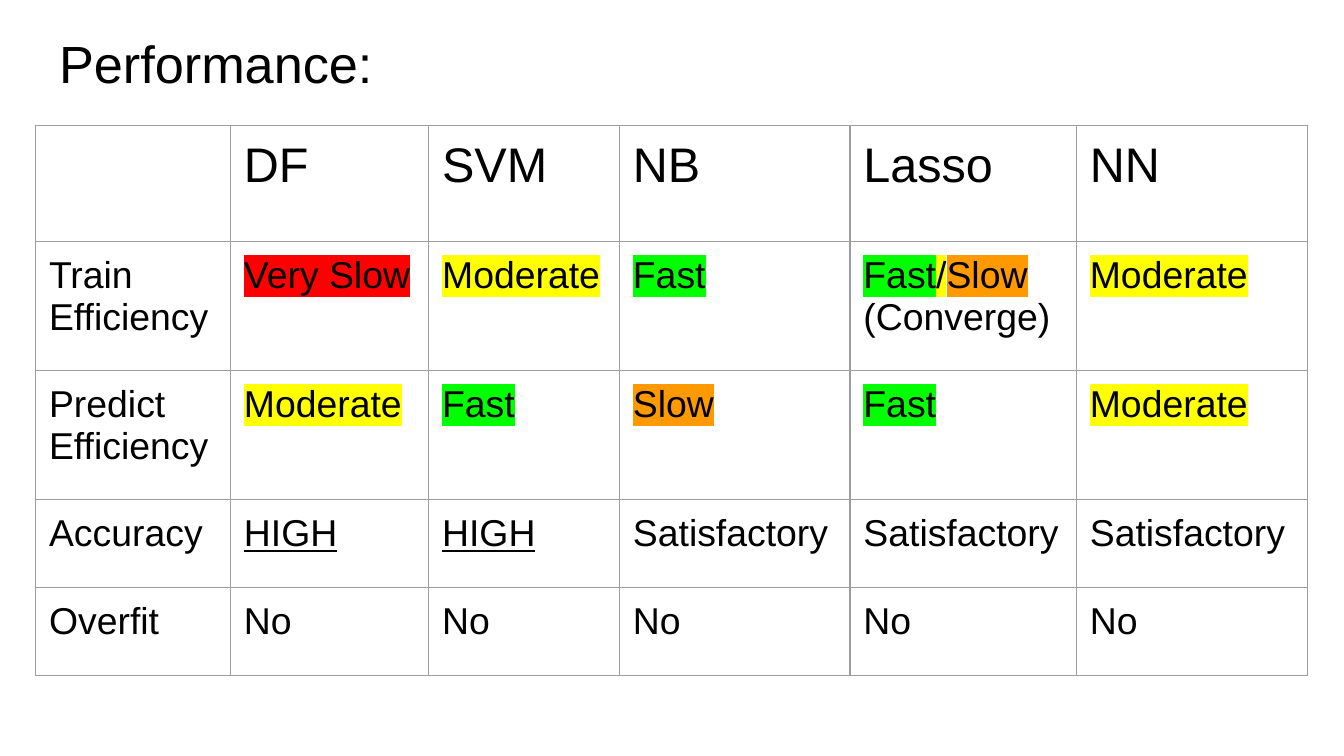
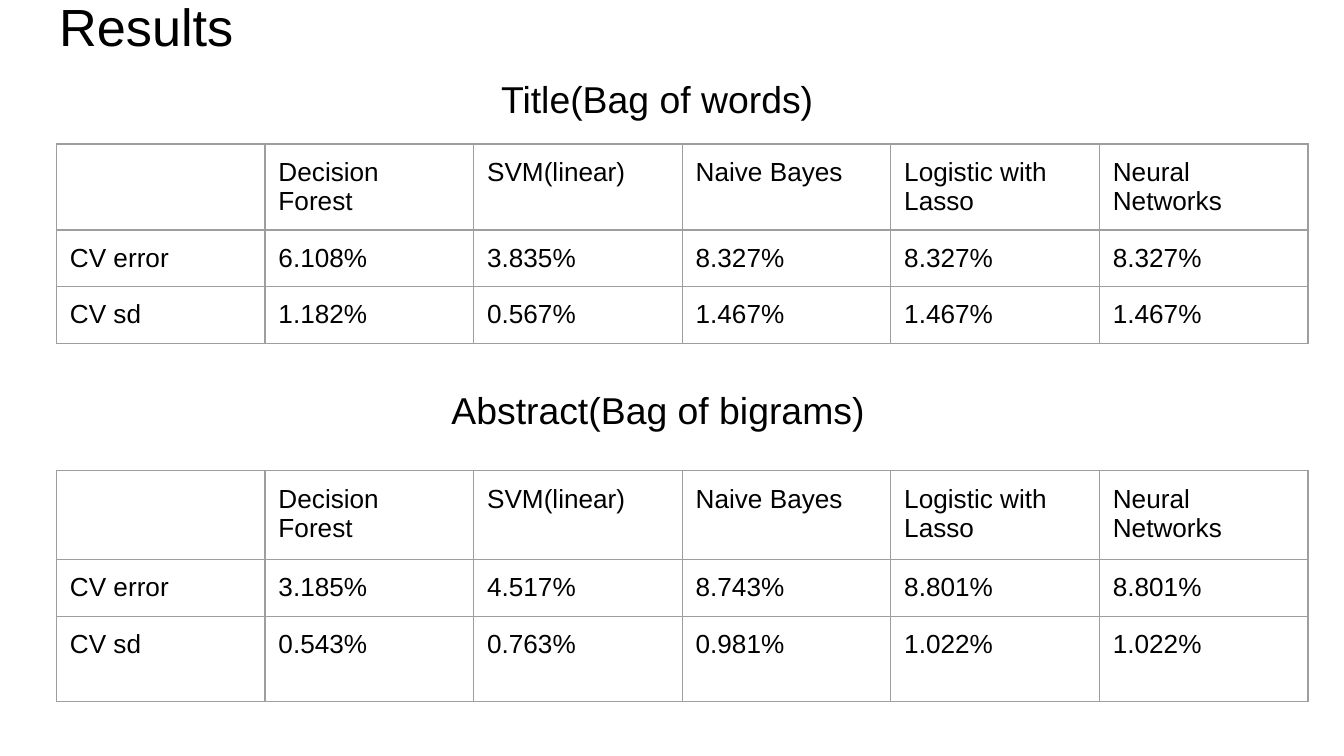
from dataclasses import dataclass

from lxml.etree import SubElement
from pptx import Presentation
from pptx.dml.color import RGBColor
from pptx.enum.text import MSO_ANCHOR, MSO_AUTO_SIZE, PP_ALIGN
from pptx.oxml.ns import qn
from pptx.util import Inches, Pt


@dataclass(frozen=True)
class Theme:
    font: str = "Arial"
    ink: str = "000000"
    paper: str = "FFFFFF"
    border: str = "9E9E9E"
    border_pt: float = 0.75
    inset: float = 0.1
    leading: float = 1.0
    title: int = 28
    head: int = 26
    body: int = 20
    small: int = 14


@dataclass(frozen=True)
class Box:
    """Position and size in percent of the slide."""
    left: float
    top: float
    width: float
    height: float


@dataclass(frozen=True)
class Grid:
    """Columns and rows in percent of the slide."""
    left: float
    top: float
    cols: tuple[float, ...]
    rows: tuple[float, ...]
    cells: list[list[str]]
    head_size: int
    body_size: int


@dataclass(frozen=True)
class Caption:
    text: str
    box: Box
    indent: float


THEME = Theme()
HIGHLIGHTS = {"Very Slow": "FF0000", "Slow": "FF9900", "Moderate": "FFFF00",
              "/": "FFFF00", "Fast": "00FF00"}
UNDERLINED = {"HIGH"}
RUN_BREAK = "|"

prs = Presentation()
prs.slide_width = Inches(10)
prs.slide_height = prs.slide_width * 9 // 16


def across(percent: float) -> int:
    return round(prs.slide_width * percent / 100)


def down(percent: float) -> int:
    return round(prs.slide_height * percent / 100)


def place(box: Box) -> tuple[int, int, int, int]:
    return across(box.left), down(box.top), across(box.width), down(box.height)


def set_insets(holder) -> None:
    holder.margin_left = holder.margin_right = Inches(THEME.inset)
    holder.margin_top = holder.margin_bottom = Inches(THEME.inset)
    holder.vertical_anchor = MSO_ANCHOR.TOP


def style(p, size: int) -> None:
    p.alignment = PP_ALIGN.LEFT
    p.font.name = THEME.font
    p.font.size = Pt(size)
    p.font.bold = False
    p.font.color.rgb = RGBColor.from_string(THEME.ink)


def write_frame(tf, text: str, size: int):
    set_insets(tf)
    tf.word_wrap = True
    tf.auto_size = MSO_AUTO_SIZE.NONE
    tf.text = text
    p = tf.paragraphs[0]
    p.line_spacing = THEME.leading
    style(p, size)
    return p


def add_titled_slide(text: str, top: float):
    s = prs.slides.add_slide(prs.slide_layouts[5])
    s.background.fill.solid()
    s.background.fill.fore_color.rgb = RGBColor.from_string(THEME.paper)
    sp = s.shapes.title
    sp.left, sp.top, sp.width, sp.height = place(Box(3.4, top, 93.2, 11.2))
    write_frame(sp.text_frame, text, THEME.title)
    return s


def add_caption(s, caption: Caption) -> None:
    sp = s.shapes.add_textbox(*place(caption.box))
    p = write_frame(sp.text_frame, caption.text, THEME.body)
    p._p.get_or_add_pPr().set("marL", str(across(caption.indent)))


def add_run(p, text: str) -> None:
    r = p.add_run()
    r.text = text
    if text in UNDERLINED:
        r.font.underline = True
    if text in HIGHLIGHTS:
        mark = SubElement(r._r.get_or_add_rPr(), qn("a:highlight"))
        SubElement(mark, qn("a:srgbClr"), val=HIGHLIGHTS[text])


def set_borders(cell) -> None:
    tc_pr = cell._tc.get_or_add_tcPr()
    for side in ("lnL", "lnR", "lnT", "lnB"):
        ln = SubElement(tc_pr, qn(f"a:{side}"), w=str(Pt(THEME.border_pt)))
        fill = SubElement(ln, qn("a:solidFill"))
        SubElement(fill, qn("a:srgbClr"), val=THEME.border)


def fill_cell(cell, text: str, size: int) -> None:
    set_insets(cell)
    set_borders(cell)
    cell.fill.background()
    tf = cell.text_frame
    for i, line in enumerate(text.split("\n")):
        p = tf.add_paragraph() if i else tf.paragraphs[0]
        style(p, size)
        for part in filter(None, line.split(RUN_BREAK)):
            add_run(p, part)


def add_grid(s, grid: Grid) -> None:
    box = Box(grid.left, grid.top, sum(grid.cols), sum(grid.rows))
    table = s.shapes.add_table(len(grid.rows), len(grid.cols), *place(box)).table
    table.first_row = table.horz_banding = False
    for col, width in zip(table.columns, grid.cols):
        col.width = across(width)
    for row, height in zip(table.rows, grid.rows):
        row.height = down(height)
    for i, texts in enumerate(grid.cells):
        size = grid.body_size if i else grid.head_size
        for j, text in enumerate(texts):
            fill_cell(table.cell(i, j), text, size)


def add_results(s, top: float, rows: tuple[float, ...],
                errors: list[str], deviations: list[str]) -> None:
    models = ["Decision Forest", "SVM(linear)", "Naive Bayes",
              "Logistic with Lasso", "Neural Networks"]
    cells = [["", *models], ["CV error", *errors], ["CV sd", *deviations]]
    cols = (15.52,) * 6
    add_grid(s, Grid(4.2, top, cols, rows, cells, THEME.small, THEME.small))


def build_performance() -> None:
    s = add_titled_slide("Performance:", 2.31)
    cells = [
        ["", "DF", "SVM", "NB", "Lasso", "NN"],
        ["Train\nEfficiency", "Very Slow", "Moderate", "Fast",
         "Fast|/|Slow\n(Converge)", "Moderate"],
        ["Predict\nEfficiency", "Moderate", "Fast", "Slow", "Fast", "Moderate"],
        ["Accuracy"] + ["HIGH"] * 2 + ["Satisfactory"] * 3,
        ["Overfit"] + ["No"] * 5,
    ]
    add_grid(s, Grid(2.65, 16.55, (14.5, 14.75, 14.2, 17.15, 16.85, 17.2),
                     (15.4, 17.05, 17.05, 11.65, 11.65), cells,
                     THEME.head, THEME.body))


def build_results() -> None:
    s = add_titled_slide("Results", -2.49)
    add_results(s, 19.04, (11.39, 7.5, 7.5),
                ["6.108%", "3.835%"] + ["8.327%"] * 3,
                ["1.182%", "0.567%"] + ["1.467%"] * 3)
    add_results(s, 62.28, (11.74, 7.5, 11.3),
                ["3.185%", "4.517%", "8.743%"] + ["8.801%"] * 2,
                ["0.543%", "0.763%", "0.981%"] + ["1.022%"] * 2)
    for caption in (
        Caption("Title(Bag of words)", Box(26.3, 8.36, 38.9, 8.54), 10),
        Caption("Abstract(Bag of bigrams)", Box(29.5, 49.47, 41.1, 9.43), 3.1),
    ):
        add_caption(s, caption)


build_performance()
build_results()
prs.save("out.pptx")
